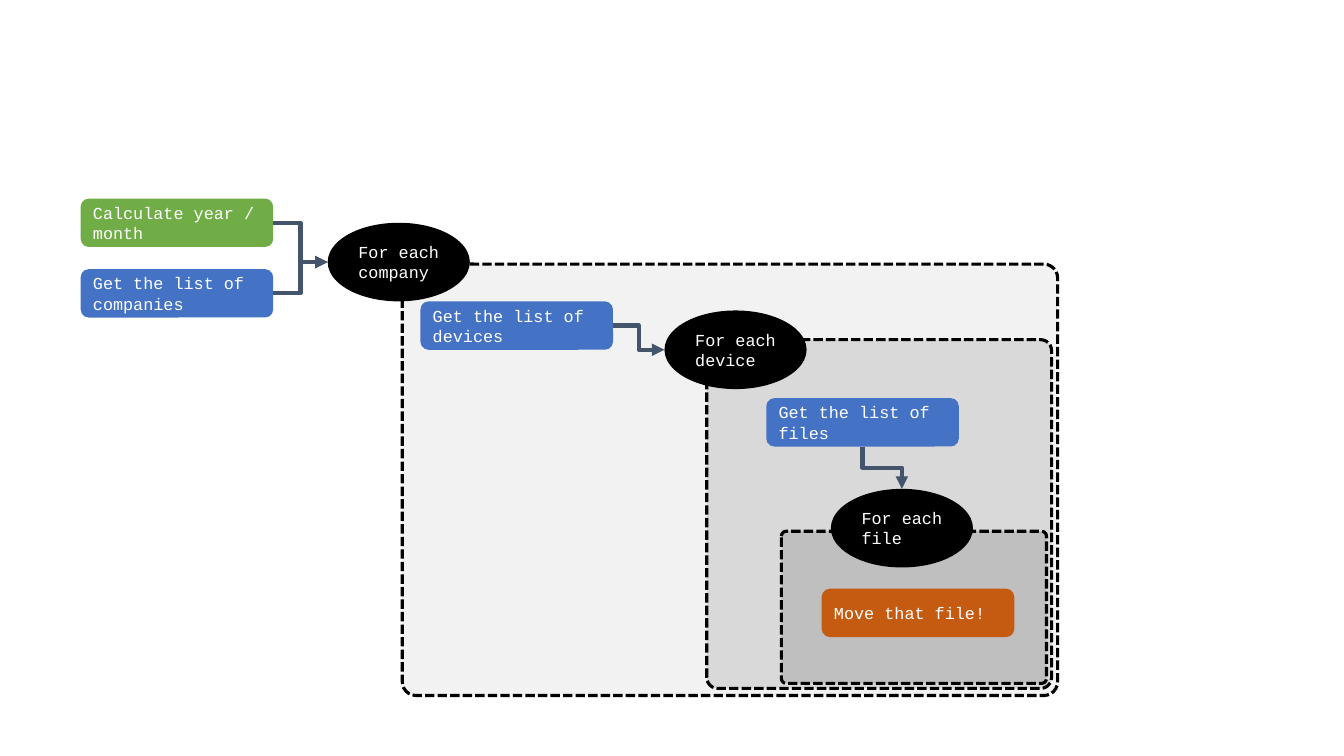
from lxml import etree
from pptx import Presentation
from pptx.dml.color import RGBColor
from pptx.enum.dml import MSO_LINE
from pptx.enum.shapes import MSO_CONNECTOR, MSO_SHAPE
from pptx.enum.text import MSO_ANCHOR, PP_ALIGN
from pptx.oxml.ns import qn
from pptx.util import Inches, Pt

ROUNDED, OVAL = MSO_SHAPE.ROUNDED_RECTANGLE, MSO_SHAPE.OVAL
ELBOW, DASH = MSO_CONNECTOR.ELBOW, MSO_LINE.SQUARE_DOT
MIDDLE, LEFT = MSO_ANCHOR.MIDDLE, PP_ALIGN.LEFT

COLORS = {
    "outer": "F2F2F2", "middle": "D9D9D9", "inner": "BFBFBF",
    "calculate": "70AD47", "get": "4472C4", "move": "C55A11",
    "loop": "000000", "border": "000000", "arrow": "44546A", "text": "FFFFFF",
}
FONT = {"name": "Courier New", "size": Pt(12)}

# Loop scopes: color, left, top, width, height
SCOPES = [
    ("outer", 3.99, 2.62, 6.5, 4.28),
    ("middle", 7.01, 3.37, 3.42, 3.46),
    ("inner", 7.75, 5.27, 2.63, 1.51),
]

# Nodes: key -> text, color, left, top
SIZES = {ROUNDED: (1.91, 0.48), OVAL: (1.41, 0.78)}
NODES = {
    "date": ("Calculate year / month", "calculate", 0.8, 1.97),
    "companies": ("Get the list of companies", "get", 0.8, 2.67),
    "each company": ("For each company", "loop", 3.25, 2.21),
    "devices": ("Get the list of devices", "get", 4.17, 2.99),
    "each device": ("For each device", "loop", 6.59, 3.08),
    "files": ("Get the list of files", "get", 7.6, 3.95),
    "move": ("Move that file!", "move", 8.15, 5.84),
    "each file": ("For each file", "loop", 8.24, 4.85),
}

# Arrows: step, loop, whether it runs downwards
ARROWS = [
    ("date", "each company", False),
    ("companies", "each company", False),
    ("devices", "each device", False),
    ("files", "each file", True),
]
# Connection sites
BOX_BOTTOM, BOX_RIGHT, OVAL_TOP, OVAL_LEFT = 2, 3, 0, 2


def color(name):
    """Return the named palette color."""
    return RGBColor.from_string(COLORS[name])


def add_filled(page, kind, fill, left, top, width, height):
    """Add a flat filled shape, measured in inches."""
    shape = page.shapes.add_shape(kind, *map(Inches, (left, top, width, height)))
    shape.shadow.inherit = False
    shape.fill.solid()
    shape.fill.fore_color.rgb = color(fill)
    return shape


def add_scope(page, fill, *bounds):
    """Add a dashed area that encloses the body of a loop."""
    scope = add_filled(page, ROUNDED, fill, *bounds)
    scope.adjustments[0] = 0.032
    scope.line.color.rgb = color("border")
    scope.line.width = Pt(2.25)
    scope.line.dash_style = DASH


def add_node(page, text, fill, left, top):
    """Add a step box or a loop oval with its label."""
    kind = OVAL if fill == "loop" else ROUNDED
    node = add_filled(page, kind, fill, left, top, *SIZES[kind])
    node.line.fill.background()
    frame = node.text_frame
    frame.word_wrap = True
    frame.vertical_anchor = MIDDLE
    para = frame.paragraphs[0]
    para.alignment = LEFT
    span = para.add_run()
    span.text = text
    for key, value in FONT.items():
        setattr(span.font, key, value)
    span.font.color.rgb = color("text")
    return node


def turn_downwards(arrow, x1, y1, x2, y2):
    """Rotate an elbow so that it leaves and arrives vertically."""
    arrow.width, arrow.height = y2 - y1, x2 - x1
    arrow.left = (x1 + x2 - arrow.width) // 2
    arrow.top = (y1 + y2 - arrow.height) // 2
    frame = arrow._element.spPr.find(qn("a:xfrm"))
    for flip in ("flipH", "flipV"):
        frame.attrib.pop(flip, None)
    frame.set("rot", "16200000")
    frame.set("flipH", "1")


def add_arrow(page, step, loop, downwards):
    """Add an elbow arrow glued to a step and a loop."""
    if downwards:
        sites = BOX_BOTTOM, OVAL_TOP
        x1, y1 = step.left + step.width // 2, step.top + step.height
        x2, y2 = loop.left + loop.width // 2, loop.top
    else:
        sites = BOX_RIGHT, OVAL_LEFT
        x1, y1 = step.left + step.width, step.top + step.height // 2
        x2, y2 = loop.left, loop.top + loop.height // 2
    arrow = page.shapes.add_connector(ELBOW, x1, y1, x2, y2)
    arrow.begin_connect(step, sites[0])
    arrow.end_connect(loop, sites[1])
    # Ovals have eight sites, so the ends are placed explicitly.
    arrow.begin_x, arrow.begin_y, arrow.end_x, arrow.end_y = x1, y1, x2, y2
    if downwards:
        turn_downwards(arrow, x1, y1, x2, y2)
    arrow.line.color.rgb = color("arrow")
    arrow.line.width = Pt(3)
    etree.SubElement(arrow.line._get_or_add_ln(), qn("a:tailEnd"), type="triangle")
    etree.SubElement(arrow._element.spPr, qn("a:effectLst"))


deck = Presentation()
deck.slide_width, deck.slide_height = Inches(13.33), Inches(7.5)
page = deck.slides.add_slide(deck.slide_layouts[6])

for scope in SCOPES:
    add_scope(page, *scope)
nodes = {key: add_node(page, *node) for key, node in NODES.items()}
for step, loop, downwards in ARROWS:
    add_arrow(page, nodes[step], nodes[loop], downwards)

deck.save("out.pptx")
